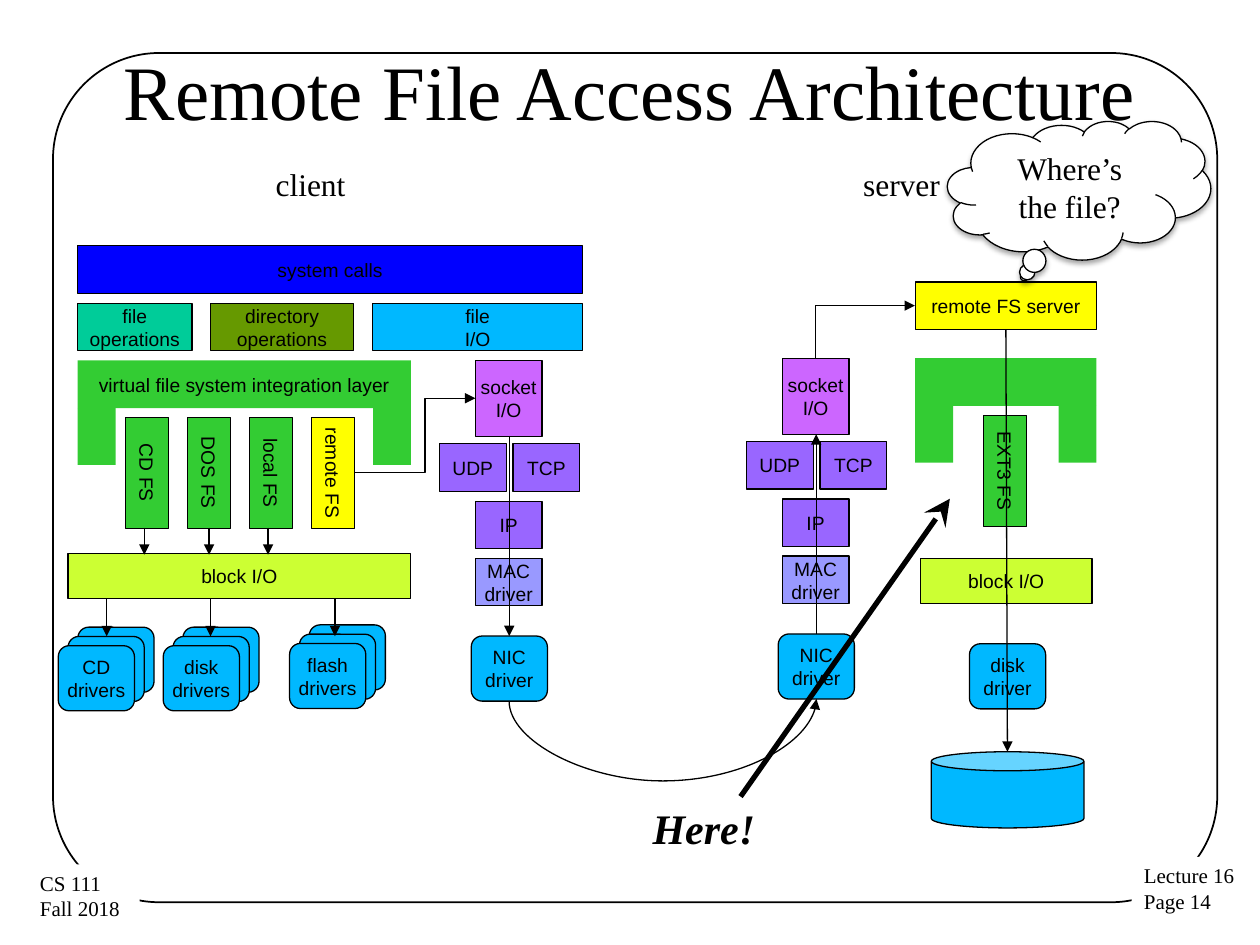
from lxml import etree
from pptx import Presentation
from pptx.dml.color import RGBColor
from pptx.enum.shapes import MSO_CONNECTOR, MSO_SHAPE
from pptx.enum.text import MSO_ANCHOR, PP_ALIGN
from pptx.oxml.ns import qn
from pptx.util import Pt

RECT, ROUND = MSO_SHAPE.RECTANGLE, MSO_SHAPE.ROUNDED_RECTANGLE
CAN, CLOUD = MSO_SHAPE.CAN, MSO_SHAPE.CLOUD_CALLOUT
STRAIGHT, ELBOW, CURVE = MSO_CONNECTOR.STRAIGHT, MSO_CONNECTOR.ELBOW, MSO_CONNECTOR.CURVE
MIDDLE, TOP = MSO_ANCHOR.MIDDLE, MSO_ANCHOR.TOP
CENTER, LEFT = PP_ALIGN.CENTER, PP_ALIGN.LEFT

SANS, SERIF = "Arial", "Times New Roman"
COLORS = {
    "black": "000000", "white": "FFFFFF", "blue": "0000FF", "sky": "00B8FF",
    "teal": "00CC99", "olive": "669900", "green": "33CC33", "lime": "CCFF33",
    "yellow": "FFFF00", "orchid": "CC66FF", "purple": "9966FF", "lavender": "9999FF",
}


def rgb(name):
    """Return the named colour."""
    return RGBColor.from_string(COLORS[name])


def write(sp, lines, font=SANS, size=11, align=CENTER, anchor=MIDDLE,
          wrap=False, bold=False, italic=False):
    """Put one paragraph per line into a shape."""
    tf = sp.text_frame
    tf.word_wrap = wrap
    tf.vertical_anchor = anchor
    for i, line in enumerate(lines):
        p = tf.paragraphs[0] if i == 0 else tf.add_paragraph()
        p.alignment = align
        r = p.add_run()
        r.text = line
        r.font.name, r.font.size = font, Pt(size)
        r.font.bold, r.font.italic = bold, italic
        r.font.color.rgb = rgb("black")


def box(s, x, y, w, h, fill=None, lines=(), kind=RECT, line=0.75, turn=0):
    """Add a flat preset shape with centred labels."""
    sp = s.shapes.add_shape(kind, Pt(x), Pt(y), Pt(w), Pt(h))
    sp.shadow.inherit = False
    sp.rotation = turn
    if fill:
        sp.fill.solid()
        sp.fill.fore_color.rgb = rgb(fill)
    else:
        sp.fill.background()
    if line:
        sp.line.color.rgb = rgb("black")
        sp.line.width = Pt(line)
    else:
        sp.line.fill.background()
    if lines:
        write(sp, lines)
    return sp


def label(s, x, y, w, h, lines, size, fill=None, **style):
    """Add a serif text box."""
    sp = s.shapes.add_textbox(Pt(x), Pt(y), Pt(w), Pt(h))
    if fill:
        sp.fill.solid()
        sp.fill.fore_color.rgb = rgb(fill)
    write(sp, lines, SERIF, size, **style)


def arrow(s, x1, y1, x2, y2, kind=STRAIGHT, width=0.75, head="triangle",
          head_size="med", preset=None, adj=None, turn=0):
    """Add a connector with an arrowhead at its end."""
    c = s.shapes.add_connector(kind, Pt(x1), Pt(y1), Pt(x2), Pt(y2))
    c.line.color.rgb = rgb("black")
    c.line.width = Pt(width)
    pr = c._element.spPr
    etree.SubElement(pr.find(qn("a:ln")), qn("a:tailEnd"), type=head,
                     w=head_size, len=head_size)
    etree.SubElement(pr, qn("a:effectLst"))
    geom = pr.find(qn("a:prstGeom"))
    if preset:
        geom.set("prst", preset)
    if adj is not None:
        etree.SubElement(geom.find(qn("a:avLst")), qn("a:gd"), name="adj1",
                         fmla=f"val {round(adj * 100000)}")
    if turn:
        pr.find(qn("a:xfrm")).set("rot", str(turn * 60000))


def network_stack(s, x, y):
    """Add the protocol layers from the socket down to the network card."""
    box(s, x, y, 38.2, 43.4, "orchid", ["socket", "I/O"])
    box(s, x - 20.5, y + 47.5, 38.2, 27.2, "purple", ["UDP"])
    box(s, x + 21.6, y + 47.5, 38.2, 27.2, "purple", ["TCP"])
    box(s, x, y + 80.4, 38.2, 27.2, "purple", ["IP"])
    box(s, x, y + 113, 38.2, 27.2, "lavender", ["MAC", "driver"])
    box(s, x - 2.3, y + 157.5, 43.5, 37.2, "sky", ["NIC", "driver"], ROUND)


def driver_stack(s, x, y, name):
    """Add three overlapping driver cards, the front one labelled."""
    for depth in (2, 1, 0):
        text = [] if depth else [name, "drivers"]
        box(s, x + 5.6 * depth, y - 5.3 * depth, 43.5, 37.2, "sky", text, ROUND)


def integration_layer(s, x, y, w, lines=()):
    """Add the green bar with a leg at each end."""
    box(s, x, y, w, 27.3, "green", lines, line=0)
    for leg_x in (x, x + w - 21.7):
        box(s, leg_x, y + 27.2, 21.7, 32.5, "green", line=0)


def file_system(s, x, y, name, fill="green"):
    """Add a file system box turned by a quarter."""
    box(s, x, y, 63.5, 24.7, fill, [name], turn=90)


def thought_cloud(s):
    """Add the thought cloud with its soft shadow."""
    sp = box(s, 541.4, 69.2, 150.5, 79.2, "white", kind=CLOUD)
    write(sp, ["Where’s the file?"], SERIF, 18, wrap=True)
    effects = sp._element.spPr.find(qn("a:effectLst"))
    shadow = etree.SubElement(effects, qn("a:outerShdw"), blurRad=str(Pt(3.1)),
                              dist=str(Pt(1.8)), dir="5400000", rotWithShape="0")
    color = etree.SubElement(shadow, qn("a:srgbClr"), val=COLORS["black"])
    etree.SubElement(color, qn("a:alpha"), val="35000")


def frame(s):
    """Add the page frame, the footers and the headings."""
    sp = box(s, 30.3, 30.3, 665.3, 485.3, kind=ROUND, line=1)
    sp.adjustments[0] = 0.125
    label(s, 646.6, 489.6, 67, 36.7, ["Lecture 16", "Page 14"], 12, "white",
          align=LEFT, anchor=TOP)
    label(s, 15.8, 493.9, 64, 36.7, ["CS 111", "Fall 2018 "], 12, "white",
          align=LEFT, anchor=TOP)
    label(s, 28.1, 21.6, 663.8, 59.8, ["Remote File Access Architecture"], 44, wrap=True)
    for x, name in ((109.4, "client"), (447.1, "server")):
        label(s, x, 90.7, 136.1, 28.1, [name], 18, anchor=TOP, wrap=True)


def client(s):
    """Add the client side."""
    box(s, 44.4, 140.5, 288.5, 27.2, "blue", ["system calls"])
    for x, w, fill, name, detail in ((44.4, 65.3, "teal", "file", "operations"),
                                     (120.4, 81.6, "olive", "directory", "operations"),
                                     (213, 119.9, "sky", "file", "I/O")):
        box(s, x, 173.4, w, 27, fill, [name, detail])
    integration_layer(s, 44.4, 206, 190.5, ["virtual file system integration layer"])
    for i, name in enumerate(("CD FS", "DOS FS", "local FS", "remote FS")):
        file_system(s, 52.3 + 35.4 * i, 257.9, name, "yellow" if i == 3 else "green")
    box(s, 38.9, 316.4, 195.8, 25.7, "lime", ["block I/O"])
    for x in (82.5, 119.5, 153.2):
        arrow(s, x, 301.5, x, 317)
    for x, y, arrow_x, name in ((33.3, 369, 61, "CD"), (93.3, 369, 120.3, "disk"),
                                (165.5, 367.7, 191.4, "flash")):
        driver_stack(s, x, y, name)
        arrow(s, arrow_x, 342, arrow_x, 363.6)
    network_stack(s, 271.6, 206)
    arrow(s, 202.5, 270.2, 271.6, 227.6, ELBOW, adj=0.584)
    arrow(s, 291, 249.4, 291, 363.5)


def server(s):
    """Add the server side."""
    box(s, 526.1, 319, 97.9, 25.7, "lime", ["block I/O"])
    file_system(s, 542.6, 256.8, "EXT3 FS")
    integration_layer(s, 523, 204.7, 103.6)
    box(s, 554, 367.9, 43.5, 37.2, "sky", ["disk", "driver"], ROUND)
    box(s, 532.2, 429.6, 87.2, 43.5, "sky", kind=CAN)
    network_stack(s, 447, 204.8)
    arrow(s, 479.3, 161.2, 509.4, 218.2, ELBOW, preset="bentConnector2", turn=270)
    arrow(s, 466.4, 362.3, 466.4, 248.2)
    box(s, 523, 161.1, 103.6, 27.2, "yellow", ["remote FS server"])
    arrow(s, 574.8, 188.5, 575.7, 429.6)


def main():
    """Build the slide and save it."""
    prs = Presentation()
    prs.slide_width, prs.slide_height = Pt(720), Pt(540)
    s = prs.slides.add_slide(prs.slide_layouts[6])
    frame(s)
    client(s)
    server(s)
    arrow(s, 379.33, 487.9, 378.07, 312.3, CURVE, adj=-36.55, turn=90)
    thought_cloud(s)
    arrow(s, 423.2, 455.2, 542.8, 285, width=3, head="stealth", head_size="lg")
    label(s, 365.8, 455.2, 73.4, 36.3, ["Here!"], 24, align=LEFT, anchor=TOP,
          bold=True, italic=True)
    prs.save("out.pptx")


main()
